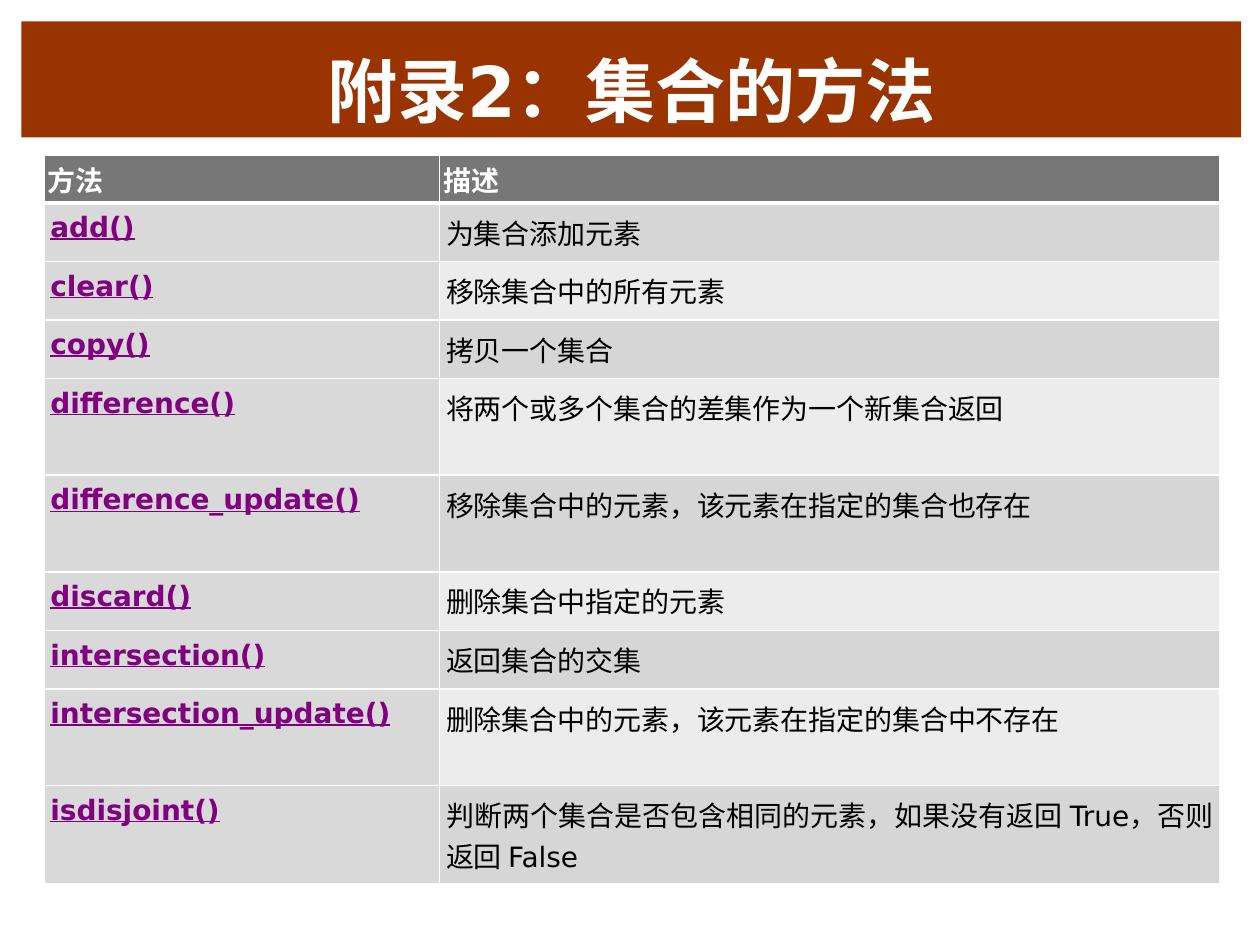
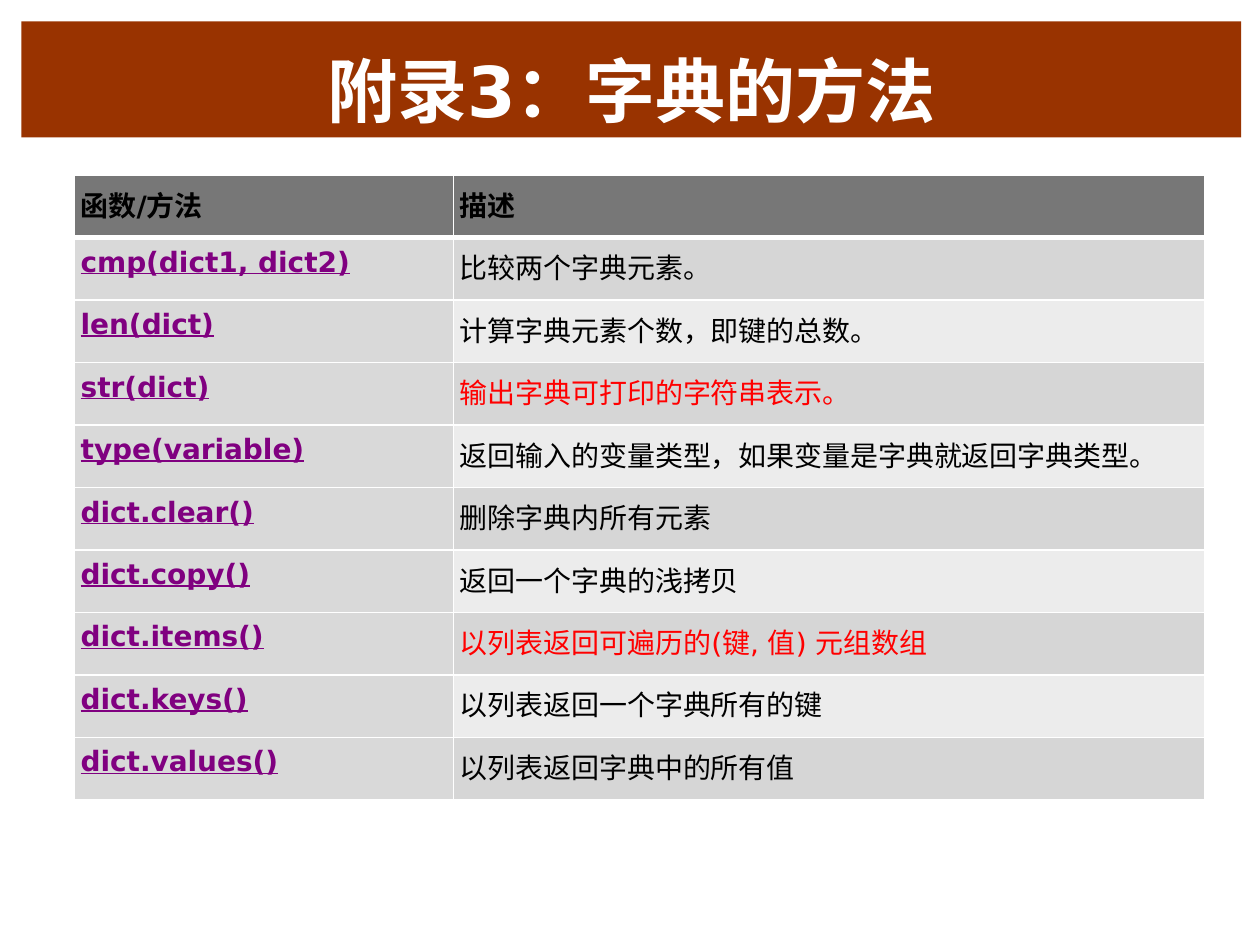
import lxml.etree
import pptx
import pptx.dml.color
import pptx.enum.shapes
import pptx.enum.text
import pptx.oxml.ns
import pptx.util

Inches = pptx.util.Inches
Pt = pptx.util.Pt
ALIGN = pptx.enum.text.PP_ALIGN
ANCHOR = pptx.enum.text.MSO_ANCHOR

WHITE, BLACK, RED = "FFFFFF", "000000", "FF0000"
BAND, HEAD, NAME = "993300", "777777", "D9D9D9"
STRIPES = "ECECEC", "D6D6D6"
LINK = "800080"

FACE = "DejaVu Sans"
TITLE = {"name": FACE, "size": Pt(40), "bold": True}
BOLD = {"name": FACE, "size": Pt(16), "bold": True}
CODE = {**BOLD, "underline": True}
PLAIN = {**BOLD, "bold": False}

# Side and upright cell margins in inches
TIGHT = 0.03, 0.03
ROOMY = 0.05, 0.07

# Row heights in points
LOW, TALL = 33.5, 55.2

SETS = [
    ("add()", "为集合添加元素", LOW),
    ("clear()", "移除集合中的所有元素", LOW),
    ("copy()", "拷贝一个集合", LOW),
    ("difference()", "将两个或多个集合的差集作为一个新集合返回", TALL),
    ("difference_update()", "移除集合中的元素，该元素在指定的集合也存在", TALL),
    ("discard()", "删除集合中指定的元素", LOW),
    ("intersection()", "返回集合的交集", LOW),
    ("intersection_update()", "删除集合中的元素，该元素在指定的集合中不存在", TALL),
    ("isdisjoint()", "判断两个集合是否包含相同的元素，如果没有返回 True，否则返回 False", TALL),
]
DICTS = [
    ("cmp(dict1, dict2)", "比较两个字典元素。"),
    ("len(dict)", "计算字典元素个数，即键的总数。"),
    ("str(dict)", "输出字典可打印的字符串表示。"),
    ("type(variable)", "返回输入的变量类型，如果变量是字典就返回字典类型。"),
    ("dict.clear()", "删除字典内所有元素"),
    ("dict.copy()", "返回一个字典的浅拷贝"),
    ("dict.items()", "以列表返回可遍历的(键, 值) 元组数组"),
    ("dict.keys()", "以列表返回一个字典所有的键"),
    ("dict.values()", "以列表返回字典中的所有值"),
]
MARKED = {"str(dict)", "dict.items()"}


def color(code):
    return pptx.dml.color.RGBColor.from_string(code)


def paint(fill, code):
    fill.solid()
    fill.fore_color.rgb = color(code)


def write(frame, text, look, code, align):
    para = frame.paragraphs[0]
    para.alignment = align
    run = para.add_run()
    run.text = text
    for key, value in look.items():
        setattr(run.font, key, value)
    run.font.color.rgb = color(code)


def banner(slide, text):
    box = slide.shapes.add_shape(
        pptx.enum.shapes.MSO_SHAPE.RECTANGLE,
        Inches(0.17), Inches(0.17), Inches(9.68), Inches(0.92))
    box.shadow.inherit = False
    paint(box.fill, BAND)
    box.line.fill.background()
    box.text_frame.word_wrap = True
    box.text_frame.vertical_anchor = ANCHOR.BOTTOM
    write(box.text_frame, text, TITLE, WHITE, ALIGN.CENTER)


def border(cell, row):
    """Rule the cell in white, thick between the header and the body."""
    props = cell._tc.get_or_add_tcPr()
    widths = {"L": 1, "R": 1, "T": 3 if row == 1 else 1, "B": 3 if row == 0 else 1}
    qn = pptx.oxml.ns.qn
    for side, width in widths.items():
        line = lxml.etree.SubElement(props, qn(f"a:ln{side}"), w=str(Pt(width)))
        fill = lxml.etree.SubElement(line, qn("a:solidFill"))
        lxml.etree.SubElement(fill, qn("a:srgbClr"), val=WHITE)


def put(cell, row, text, look, code, back, pad):
    side, end = pad
    margins = {"margin_left": side, "margin_right": side,
               "margin_top": end, "margin_bottom": end}
    for key, value in margins.items():
        setattr(cell, key, Inches(value))
    border(cell, row)
    paint(cell.fill, back)
    write(cell.text_frame, text, look, code, ALIGN.JUSTIFY)


def grid(slide, left, top, cols, heads, ink, pad, high, rows):
    """Draw a method table; rows hold name, meaning and height in points."""
    heights = [high] + [row[2] for row in rows]
    table = slide.shapes.add_table(
        len(heights), len(cols), Inches(left), Inches(top),
        Inches(sum(cols)), Pt(sum(heights))).table
    for col, width in zip(table.columns, cols):
        col.width = Inches(width)
    for row, height in zip(table.rows, heights):
        row.height = Pt(height)
    for col, text in enumerate(heads):
        put(table.cell(0, col), 0, text, BOLD, ink, HEAD, pad)
    for num, (name, text, _) in enumerate(rows, 1):
        shade = RED if name in MARKED else BLACK
        put(table.cell(num, 0), num, name, CODE, LINK, NAME, ROOMY)
        put(table.cell(num, 1), num, text, PLAIN, shade, STRIPES[num % 2], ROOMY)


def main():
    deck = pptx.Presentation()
    deck.slide_width, deck.slide_height = Inches(10), Inches(7.5)
    blank = deck.slide_layouts[6]

    slide = deck.slides.add_slide(blank)
    banner(slide, "附录2：集合的方法")
    grid(slide, 0.35, 1.23, (3.14, 6.19), ("方法", "描述"), WHITE, TIGHT, 26.6, SETS)

    slide = deck.slides.add_slide(blank)
    banner(slide, "附录3：字典的方法")
    high = 35.7
    rows = [(name, text, high) for name, text in DICTS]
    grid(slide, 0.59, 1.39, (3.01, 5.96), ("函数/方法", "描述"), BLACK, ROOMY, high, rows)

    deck.save("out.pptx")


if __name__ == "__main__":
    main()
